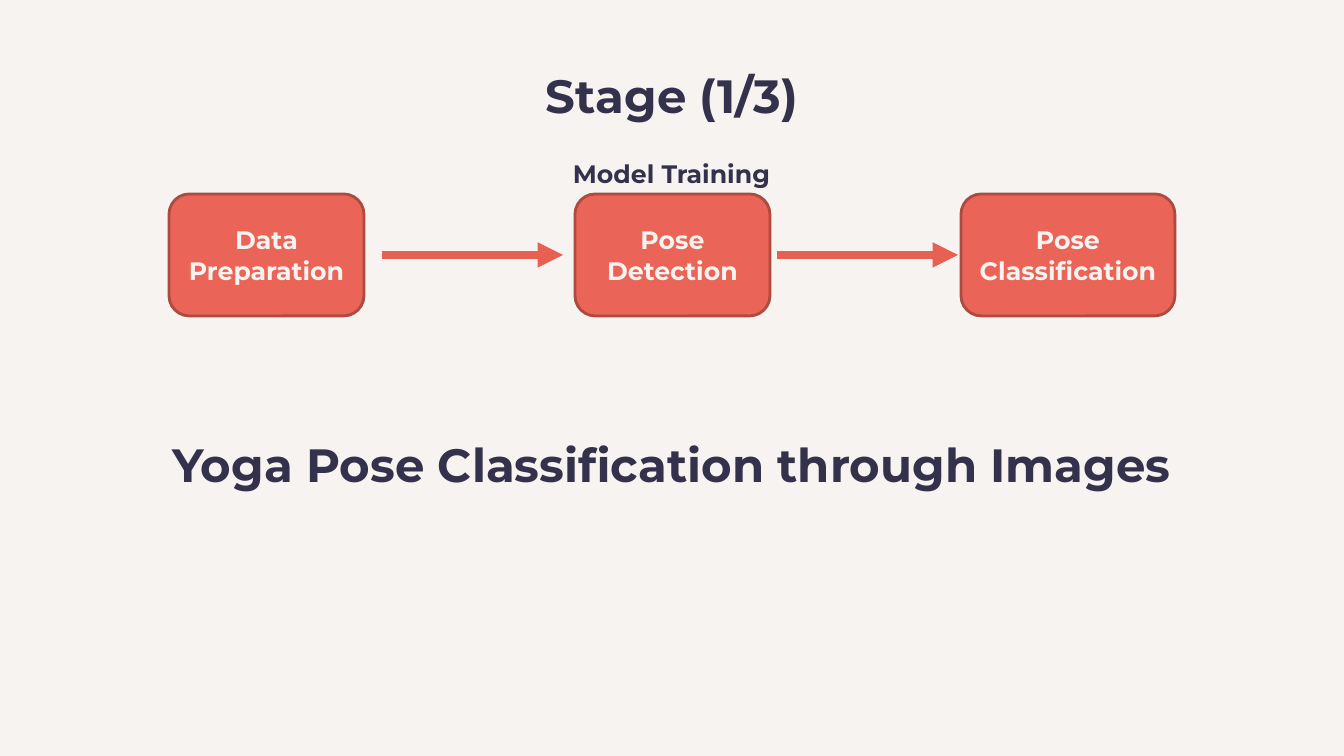
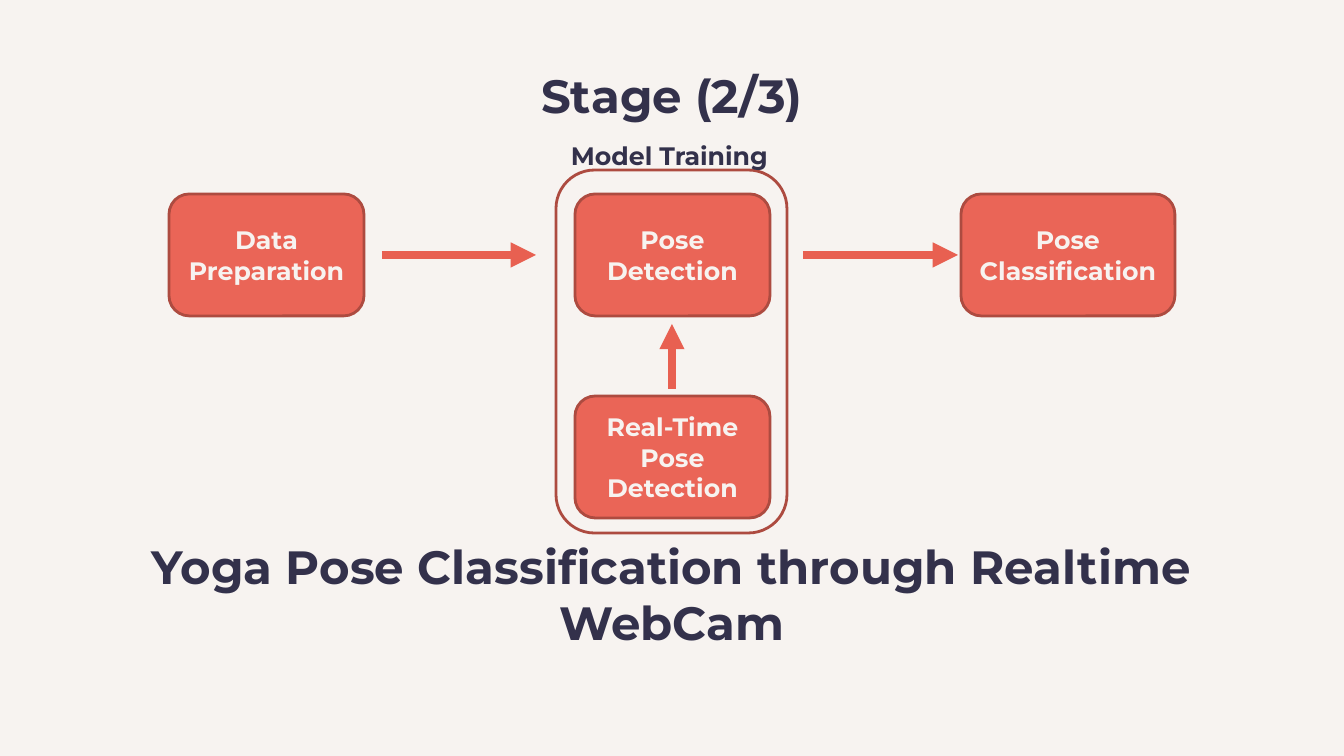
from lxml import etree
from pptx import Presentation
from pptx import util as u
from pptx.dml.color import RGBColor
from pptx.enum import shapes, text
from pptx.oxml.ns import qn

PX = 914400 / 100.8
FONT = "Montserrat"
CREAM = RGBColor(0xF7, 0xF3, 0xF0)
NAVY = RGBColor(0x33, 0x31, 0x4B)
CORAL = RGBColor(0xEA, 0x65, 0x57)
ARROW_RED = RGBColor(0xE8, 0x60, 0x51)
BRICK = RGBColor(0xAD, 0x4B, 0x40)

SLIDE_WIDTH, SLIDE_HEIGHT = 1344, 756
HEADING_LEFT, HEADING_WIDTH, HEADING_HEIGHT = 106, 1132, 58
HEADING_INSET = 10
TITLE_TOP = 57
ROW_TOP, BOX_WIDTH, BOX_HEIGHT = 194, 195, 122
MIDDLE_LEFT, ARROW_Y = 575, 255
REALTIME_TOP = 396

STEPS = [
    ("Data Preparation", 169, ROW_TOP, BOX_WIDTH),
    ("Pose Detection", MIDDLE_LEFT, ROW_TOP, BOX_WIDTH),
    ("Pose Classification", 961, ROW_TOP, 214),
]
STAGES = [
    {
        "title": "Stage (1/3)",
        "caption": ("Yoga Pose Classification through Images", 426),
        "label": (563, 153),
        "steps": STEPS,
        "arrows": [(382, ARROW_Y, 563, ARROW_Y), (777, ARROW_Y, 958, ARROW_Y)],
        "frame": None,
    },
    {
        "title": "Stage (2/3)",
        "caption": ("Yoga Pose Classification through Realtime WebCam", 528),
        "label": (561, 135),
        "steps": STEPS + [
            ("Real-Time Pose Detection", MIDDLE_LEFT, REALTIME_TOP, BOX_WIDTH)],
        "arrows": [(382, ARROW_Y, 536, ARROW_Y), (803, ARROW_Y, 958, ARROW_Y),
                   (672, 389, 672, 324)],
        "frame": (556, 170, 231, 363),
    },
]


def px(*lengths):
    """Turn pixel lengths into EMU."""
    return [u.Emu(round(length * PX)) for length in lengths]


def write(shape, words, size, color, alignment):
    paragraph = shape.text_frame.paragraphs[0]
    paragraph.text = words
    paragraph.alignment = alignment
    paragraph.font.name = FONT
    paragraph.font.size = u.Pt(size)
    paragraph.font.bold = True
    paragraph.font.color.rgb = color


presentation = Presentation()
presentation.slide_width, presentation.slide_height = px(SLIDE_WIDTH, SLIDE_HEIGHT)
blank = presentation.slide_layouts[6]
background = presentation.slide_master.background.fill
background.solid()
background.fore_color.rgb = CREAM

for stage in STAGES:
    slide = presentation.slides.add_slide(blank)

    for words, top in [(stage["title"], TITLE_TOP), stage["caption"]]:
        heading = slide.shapes.add_textbox(
            *px(HEADING_LEFT, top, HEADING_WIDTH, HEADING_HEIGHT))
        frame = heading.text_frame
        frame.word_wrap = True
        frame.margin_left, frame.margin_top, frame.margin_right, frame.margin_bottom = px(
            *[HEADING_INSET] * 4)
        write(heading, words, 33.3, NAVY, text.PP_ALIGN.CENTER)

    for words, left, top, width in stage["steps"]:
        box = slide.shapes.add_shape(
            shapes.MSO_SHAPE.ROUNDED_RECTANGLE, *px(left, top, width, BOX_HEIGHT))
        box.shadow.inherit = False
        box.fill.solid()
        box.fill.fore_color.rgb = CORAL
        box.line.color.rgb = BRICK
        box.line.width = u.Pt(2)
        box.text_frame.vertical_anchor = text.MSO_ANCHOR.MIDDLE
        write(box, words, 18, CREAM, text.PP_ALIGN.CENTER)

    for ends in stage["arrows"]:
        arrow = slide.shapes.add_connector(shapes.MSO_CONNECTOR.STRAIGHT, *px(*ends))
        arrow.line.color.rgb = ARROW_RED
        arrow.line.width = u.Pt(6)
        etree.SubElement(arrow.line._get_or_add_ln(), qn("a:tailEnd"), type="triangle")
        etree.SubElement(arrow._element.spPr, qn("a:effectLst"))

    if stage["frame"]:
        outline = slide.shapes.add_shape(
            shapes.MSO_SHAPE.ROUNDED_RECTANGLE, *px(*stage["frame"]))
        outline.shadow.inherit = False
        outline.fill.background()
        outline.line.color.rgb = BRICK
        outline.line.width = u.Pt(2)

    label = slide.shapes.add_textbox(*px(*stage["label"], 221, 40))
    label.text_frame.word_wrap = False
    label.text_frame.auto_size = text.MSO_AUTO_SIZE.SHAPE_TO_FIT_TEXT
    write(label, "Model Training", 18, NAVY, text.PP_ALIGN.LEFT)

presentation.save("out.pptx")
